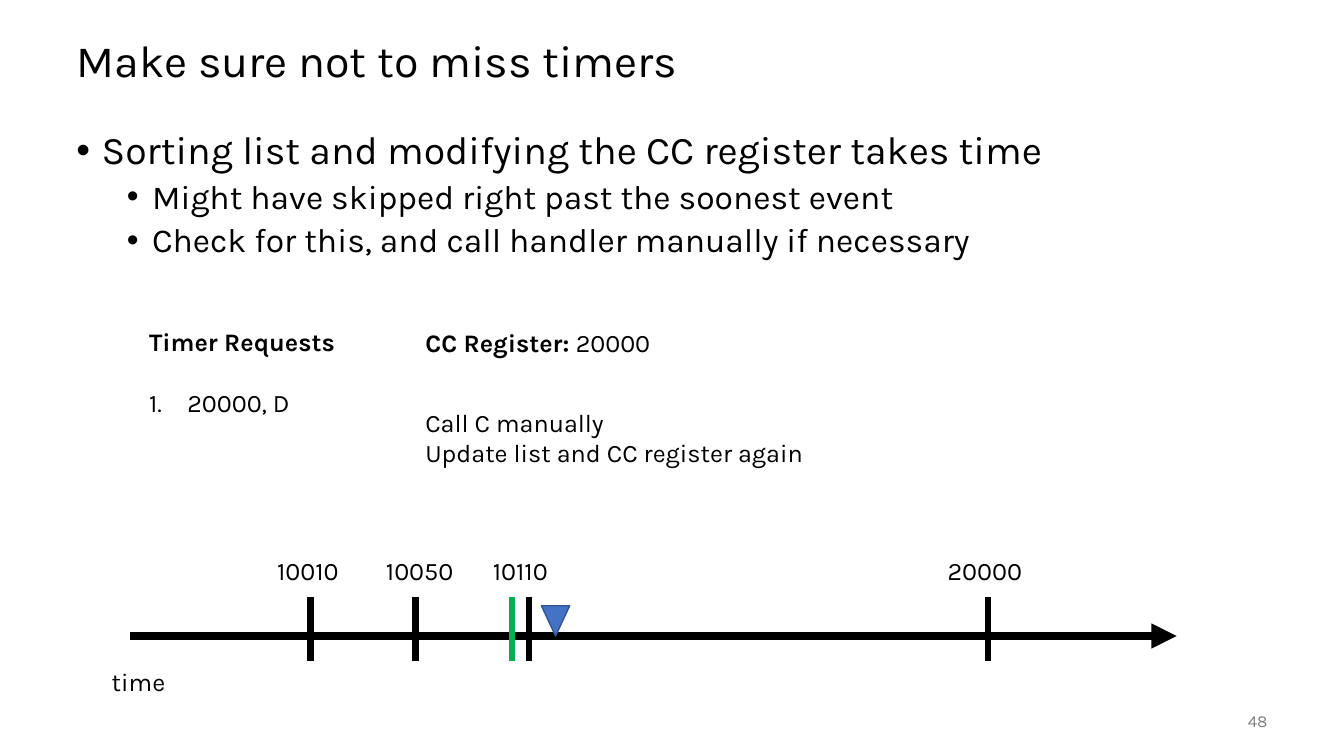
from lxml.etree import SubElement as Sub
from pptx import Presentation
from pptx.dml.color import RGBColor as Rgb
from pptx.enum.shapes import MSO_CONNECTOR as Conn, MSO_SHAPE as Geo
from pptx.enum.text import MSO_ANCHOR as Anchor, MSO_AUTO_SIZE as Auto, PP_ALIGN as Align
from pptx.oxml.ns import qn
from pptx.util import Inches, Pt

HUES = {"ink": "000000", "gray": "808080", "now": "00B050",
        "mark": "4472C4", "edge": "325491"}
FONT = "Karla"

TITLE = "Make sure not to miss timers"
POINTS = [
    (0, "Sorting list and modifying the CC register takes time"),
    (1, "Might have skipped right past the soonest event"),
    (1, "Check for this, and call handler manually if necessary"),
]
LEVELS = [
    {"size": 28, "left": 0.25, "before": 14},
    {"size": 24, "left": 0.75, "before": 5},
]
NOTES = [
    ((1.01, 6.56, 2.2, 0.4), ["time"]),
    ((4.12, 3.99, 4.87, 0.71), ["Call C manually", "Update list and CC register again"]),
]
TICKS = [(3.08, 2.65, "10010"), (4.12, 3.73, "10050"),
         (5.25, 4.79, "10110"), (9.8, 9.3, "20000")]
NOW = 5.08
AXIS = (1.29, 11.67, 6.31)
TOP, BASE = 5.92, 6.56


def hue(name):
    return Rgb.from_string(HUES[name])


def bullet(para, left, hang, tag, **attrs):
    props = para._p.get_or_add_pPr()
    props.set("marL", str(Inches(left)))
    props.set("indent", str(-Inches(hang)))
    if tag == "a:buChar":
        Sub(props, qn("a:buFont")).set("typeface", "Arial")
    mark = Sub(props, qn(tag))
    for key, val in attrs.items():
        mark.set(key, val)


def write(para, text, size=18, bold=False, color="ink", align=Align.LEFT,
          spacing=None, before=0):
    para.alignment = align
    para.space_before = Pt(before)
    if spacing:
        para.line_spacing = spacing
    run = para.add_run()
    run.text = text
    run.font.name = FONT
    run.font.size = Pt(size)
    run.font.bold = bold
    run.font.color.rgb = hue(color)


def frame(at, shape=None, anchor=Anchor.TOP):
    place = [Inches(v) for v in at]
    if shape is None:
        shape = slide.shapes.add_textbox(*place)
    shape.left, shape.top, shape.width, shape.height = place
    body = shape.text_frame
    body.word_wrap = True
    body.auto_size = Auto.NONE
    body.vertical_anchor = anchor
    return body


def label(at, lines, anchor=Anchor.TOP, **style):
    body = frame(at, anchor=anchor)
    for i, line in enumerate(lines):
        para = body.add_paragraph() if i else body.paragraphs[0]
        write(para, line, **style)
    return body


def stroke(x1, y1, x2, y2, width, color="ink", arrow=False):
    line = slide.shapes.add_connector(Conn.STRAIGHT, *map(Inches, (x1, y1, x2, y2)))
    line.line.color.rgb = hue(color)
    line.line.width = Pt(width)
    if arrow:
        Sub(line.line._get_or_add_ln(), qn("a:tailEnd")).set("type", "triangle")
    Sub(line._element.spPr, qn("a:effectLst"))


deck = Presentation()
deck.slide_width, deck.slide_height = Inches(13.33), Inches(7.5)
slide = deck.slides.add_slide(deck.slide_layouts[5])

head = frame((0.66, 0.25, 12, 0.75), slide.shapes.title, Anchor.MIDDLE)
write(head.paragraphs[0], TITLE, size=32, spacing=0.9)

body = frame((0.66, 1.25, 12, 1.5))
for i, (level, text) in enumerate(POINTS):
    para = body.add_paragraph() if i else body.paragraphs[0]
    para.level = level
    look = LEVELS[level]
    bullet(para, look["left"], 0.25, "a:buChar", char="•")
    write(para, text, size=look["size"], spacing=0.9,
          before=look["before"] if i else 0)

label((11.67, 6.95, 1, 0.4), ["48"], anchor=Anchor.MIDDLE,
      size=12, color="gray", align=Align.RIGHT)

queue = label((1.38, 3.19, 2.55, 1.01), ["Timer Requests"], bold=True)
item = queue.add_paragraph()
bullet(item, 0.38, 0.38, "a:buAutoNum", type="arabicPeriod")
write(item, "20000, D", before=22)

reg = label((4.12, 3.2, 2.55, 0.4), ["CC Register: "], bold=True)
write(reg.paragraphs[0], "20000")

for at, lines in NOTES:
    label(at, lines)

start, end, mid = AXIS
stroke(start, mid, end, mid, 6, arrow=True)
for x, left, text in TICKS:
    stroke(x, TOP, x, BASE, 4.5)
    label((left, 5.46, 1.01, 0.4), [text])

mark = slide.shapes.add_shape(Geo.ISOSCELES_TRIANGLE,
                              *map(Inches, (5.37, 6.01, 0.28, 0.3)))
mark.rotation = 180
mark.shadow.inherit = False
mark.fill.solid()
mark.fill.fore_color.rgb = hue("mark")
mark.line.color.rgb = hue("edge")
mark.line.width = Pt(1)

stroke(NOW, TOP, NOW, BASE, 4.5, "now")

deck.save("out.pptx")
